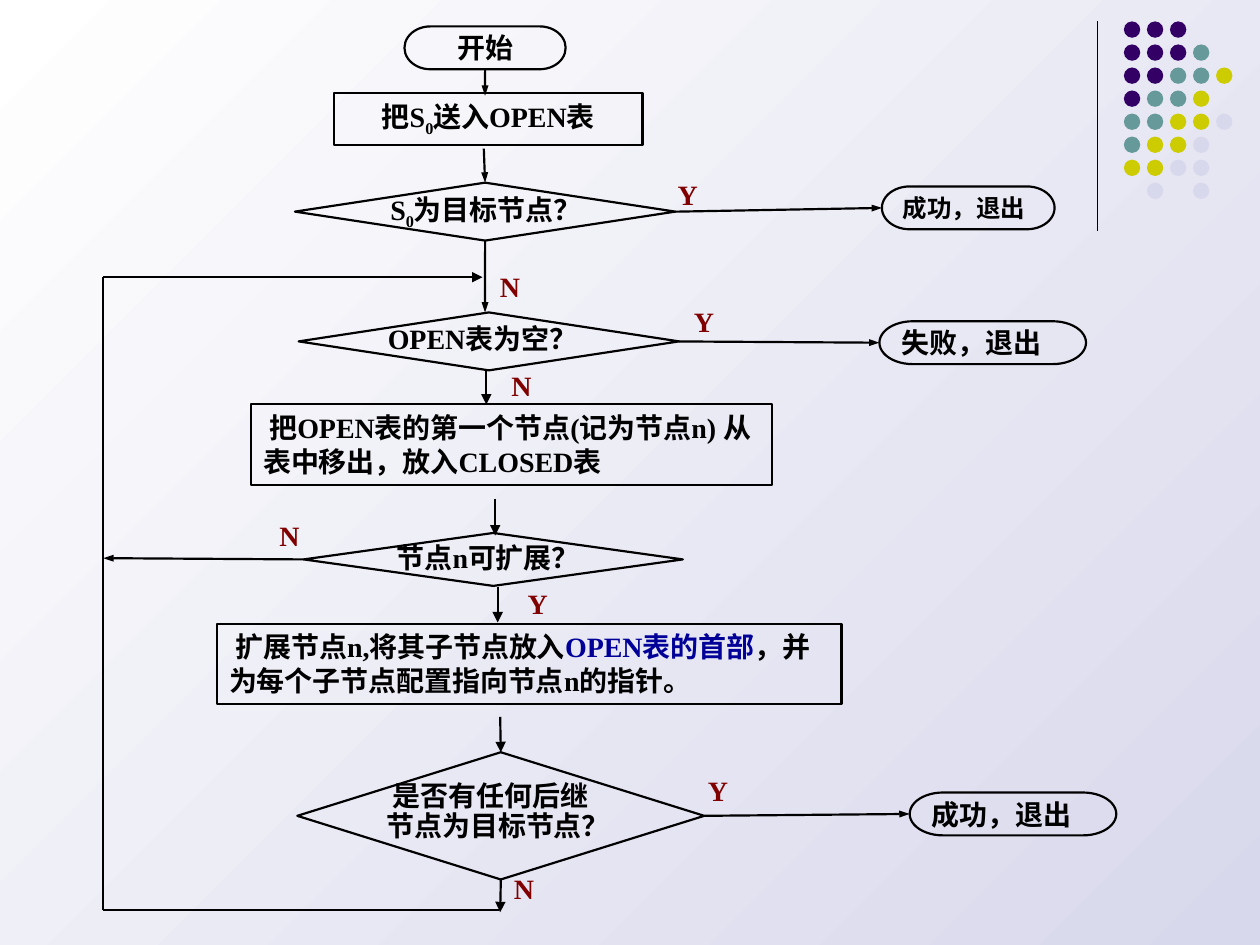
import dataclasses
import lxml.etree
import pptx
import pptx.dml.color
import pptx.enum.shapes
import pptx.enum.text
import pptx.oxml.ns
import pptx.util

Inches, Pt = pptx.util.Inches, pptx.util.Pt
RGB = pptx.dml.color.RGBColor.from_string
Kind = pptx.enum.shapes.MSO_SHAPE
Align = pptx.enum.text.PP_ALIGN
Anchor = pptx.enum.text.MSO_ANCHOR
TOP, LEFT, BASE, RIGHT = range(4)


@dataclasses.dataclass(frozen=True)
class Theme:
    """Colours, fonts and sizes of the slide."""
    ink: str = "000000"
    mark: str = "800000"
    key: str = "000099"
    pale: str = "D8D8EC"
    white: str = "FFFFFF"
    plum: str = "330066"
    teal: str = "669999"
    lime: str = "CCCC00"
    font: str = "Times New Roman"
    size: int = 16
    small: int = 14
    pen: float = 1.25
    thin: float = 0.75


THEME = Theme()


@dataclasses.dataclass
class Region:
    """Drawing area whose parts are placed from its top left corner."""
    slide: object
    left: float
    top: float

    def spot(self, x, y):
        """Turn a place in the region into a place on the slide."""
        return Inches(self.left + x), Inches(self.top + y)

    def shape(self, kind, x, y, w, h, fill=None):
        """Add an outlined shape, or a filled one without outline."""
        item = self.slide.shapes.add_shape(kind, *self.spot(x, y), Inches(w), Inches(h))
        item.shadow.inherit = False
        if fill:
            item.fill.solid()
            item.fill.fore_color.rgb = RGB(fill)
            item.line.fill.background()
        else:
            item.fill.background()
            item.line.color.rgb = RGB(THEME.ink)
            item.line.width = Pt(THEME.pen)
        return item

    def label(self, x, y, w, h, lines, **style):
        """Add a text box."""
        item = self.slide.shapes.add_textbox(*self.spot(x, y), Inches(w), Inches(h))
        write(item, lines, **style)

    def line(self, start, end, head=None, width=THEME.pen):
        """Add a line between points or (shape, side) joints."""
        ends = [(0, 0) if self.joint(e) else self.spot(*e) for e in (start, end)]
        item = self.slide.shapes.add_connector(
            pptx.enum.shapes.MSO_CONNECTOR.STRAIGHT, *ends[0], *ends[1])
        if self.joint(start):
            item.begin_connect(*start)
        if self.joint(end):
            item.end_connect(*end)
        item.line.color.rgb = RGB(THEME.ink)
        item.line.width = Pt(width)
        if head:
            tail = lxml.etree.SubElement(item.line._get_or_add_ln(), pptx.oxml.ns.qn("a:tailEnd"))
            tail.set("type", "triangle")
            tail.set("w", head)
        lxml.etree.SubElement(item._element.spPr, pptx.oxml.ns.qn("a:effectLst"))

    @staticmethod
    def joint(end):
        """Tell whether a line end is a (shape, side) joint."""
        return not isinstance(end[0], (int, float))


def write(item, lines, align=Align.LEFT, anchor=Anchor.TOP, size=THEME.size,
          color=THEME.ink, space=1.0, indent=0):
    """Fill a shape with paragraphs, each a list of (text, style) runs."""
    frame = item.text_frame
    frame.word_wrap = True
    frame.vertical_anchor = anchor
    for index, runs in enumerate(lines):
        para = frame.add_paragraph() if index else frame.paragraphs[0]
        para.alignment = align
        para.line_spacing = space
        if indent and not index:
            para._p.get_or_add_pPr().set("indent", str(Inches(indent)))
        font = para.font
        font.name, font.size, font.bold = THEME.font, Pt(size), True
        font.color.rgb = RGB(color)
        for text, style in runs:
            run = para.add_run()
            run.text = text
            if style == "sub":
                run.font._element.set("baseline", "-25000")
            elif style:
                run.font.color.rgb = RGB(style)


def plain(*texts):
    """Make one paragraph of one run from each text."""
    return [[(text, None)] for text in texts]


def dots(area):
    """Draw the rule and the dot pattern in the corner."""
    area.line((0, 0), (0, 1.66), width=THEME.thin)
    hues = {"P": THEME.plum, "T": THEME.teal, "Y": THEME.lime, "L": THEME.pale}
    rows = ("PPP", "PPPT", "PPTTY", "PTTY", "TTYYL", "TYYL", "YYLL", "-L-L")
    step = 1.28 / 7
    for row, marks in enumerate(rows):
        for col, mark in enumerate(marks):
            if mark in hues:
                area.shape(Kind.OVAL, 0.21 + col * step, row * step, 0.13, 0.13, hues[mark])


def flow(area):
    """Draw the search flow chart."""
    def oval(x, y, w, text, **style):
        item = area.shape(Kind.FLOWCHART_TERMINATOR, x, y, w, 0.34)
        write(item, plain(text), anchor=Anchor.MIDDLE, **style)
        return item

    def step(x, y, w, h, runs, **style):
        item = area.shape(Kind.RECTANGLE, x, y, w, h)
        write(item, [runs], **style)
        return item

    def test(*box):
        return area.shape(Kind.FLOWCHART_DECISION, *box)

    start = oval(2.41, 0.01, 1.28, "开始", align=Align.CENTER)
    step(1.85, 0.54, 2.45, 0.41,
         [("把S", None), ("0", "sub"), ("送入OPEN表", None)], align=Align.CENTER)
    step(1.19, 3.01, 4.14, 0.64,
         [("把OPEN表的第一个节点(记为节点n) 从表中移出，放入CLOSED表", None)], indent=0.05)
    step(0.92, 4.75, 4.96, 0.64,
         [("扩展节点n,将其子节点放入", None), ("OPEN表的首部", THEME.key),
          ("，并为每个子节点配置指向节点n的指针。", None)], indent=0.05)

    goal = test(1.54, 1.25, 3.02, 0.46)
    empty = test(1.57, 2.28, 3.02, 0.46)
    grow = test(1.61, 4.03, 3.01, 0.42)
    child = test(1.56, 5.77, 3.23, 1.01)
    area.label(2.2, 1.28, 1.9, 0.38,
               [[("S", None), ("0", "sub"), ("为目标节点？", None)]], space=0.9)
    area.label(2.18, 2.33, 1.9, 0.34, plain("OPEN表为空？"), space=0.9)
    area.label(2.25, 4.11, 1.9, 0.29, plain("节点n可扩展？"), space=0.7)
    area.label(2.17, 5.96, 2.2, 0.58,
               plain("是否有任何后继", "节点为目标节点？"), space=0.9, indent=0.05)

    won = oval(6.2, 1.28, 1.37, "成功，退出", size=THEME.small)
    lost = oval(6.18, 2.35, 1.64, "失败，退出")
    found = oval(6.42, 6.09, 1.64, "成功，退出")

    for begin, end, head in (
            ((start, BASE), (3.05, 0.56), "sm"),
            ((3.04, 0.98), (goal, TOP), "sm"),
            ((goal, BASE), (3.05, 2.28), "sm"),
            ((3.06, 2.74), (3.06, 3.01), "med"),
            ((3.13, 3.76), (3.13, 4.05), "med"),
            ((3.15, 4.46), (3.15, 4.74), "med"),
            ((3.17, 5.49), (child, TOP), "med"),
            ((child, BASE), (3.17, 7.04), "med"),
            ((3.16, 7.02), (0.02, 7.02), None),
            ((0.02, 7.02), (0.02, 2), None),
            ((0.02, 2), (3.03, 2), "med"),
            ((grow, LEFT), (0.02, 4.23), "sm"),
            ((goal, RIGHT), (won, LEFT), "sm"),
            ((empty, RIGHT), (lost, LEFT), "sm"),
            ((child, RIGHT), (found, LEFT), "sm")):
        area.line(begin, end, head)

    for text, x, y in (("Y", 4.48, 1.16), ("N", 3.07, 1.89), ("Y", 4.61, 2.17),
                       ("N", 3.16, 2.68), ("N", 1.32, 3.87), ("Y", 3.29, 4.41),
                       ("Y", 4.72, 5.89), ("N", 3.18, 6.67)):
        area.label(x, y, 0.37, 0.37, plain(text), color=THEME.mark)


def main():
    """Build the slide and save it."""
    deck = pptx.Presentation()
    deck.slide_width, deck.slide_height = Inches(10), Inches(7.5)
    slide = deck.slides.add_slide(deck.slide_layouts[6])
    fill = slide.background.fill
    fill.gradient()
    fill.gradient_angle = 135
    for stop, hue in zip(fill.gradient_stops, (THEME.pale, THEME.white)):
        stop.color.rgb = RGB(hue)
    dots(Region(slide, 8.71, 0.17))
    flow(Region(slide, 0.8, 0.2))
    deck.save("out.pptx")


if __name__ == "__main__":
    main()
